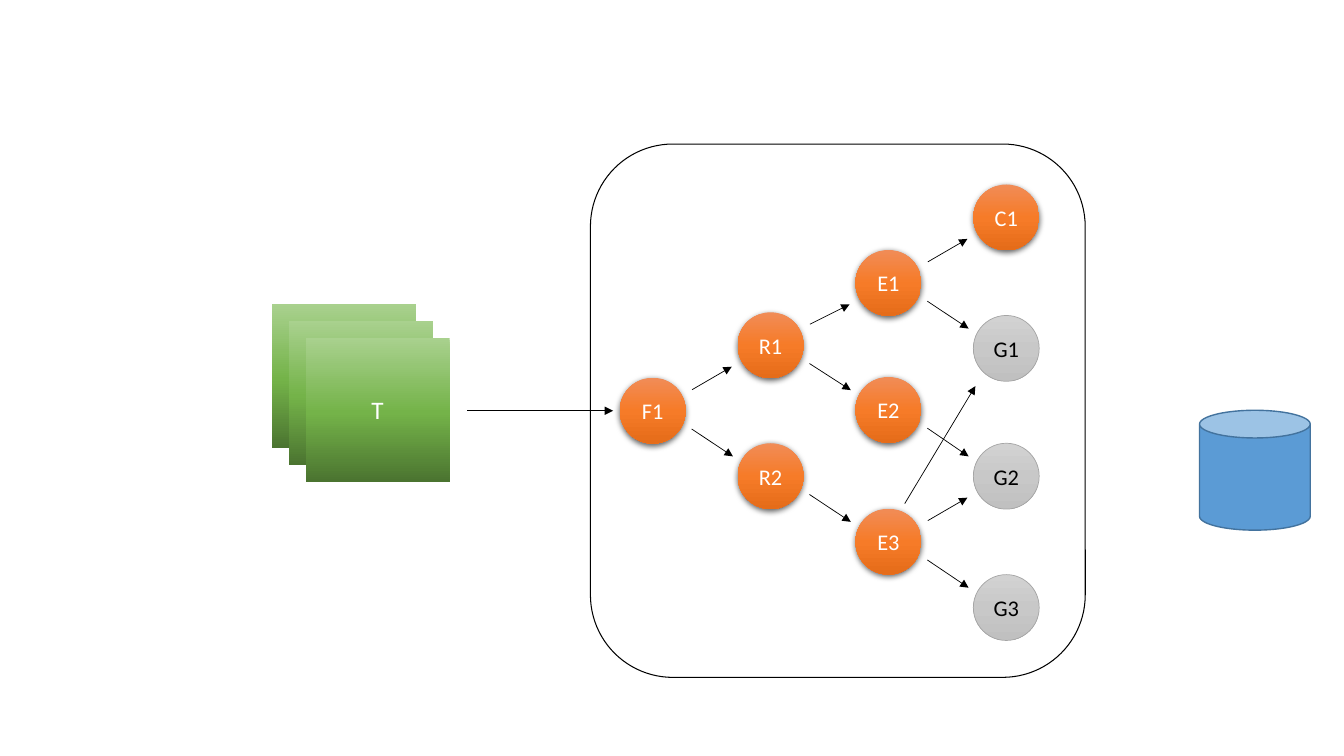
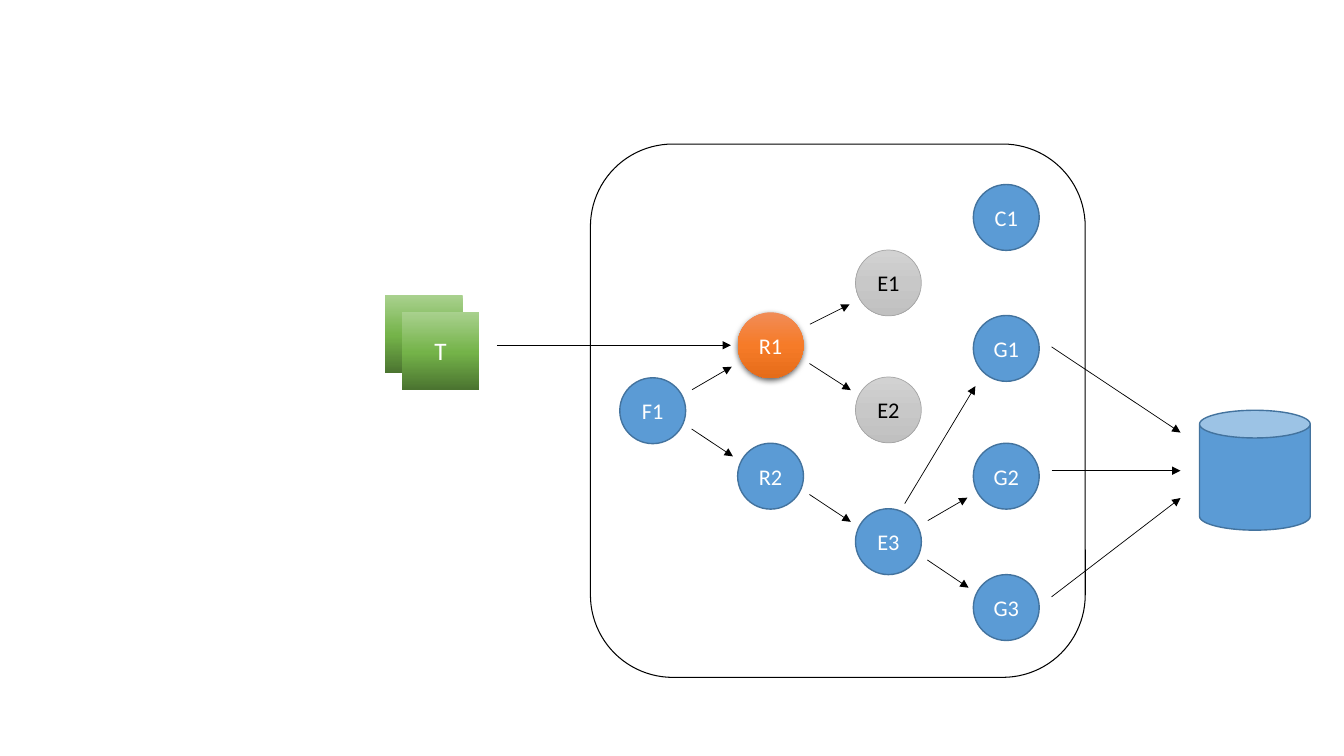
from copy import deepcopy

from lxml.etree import SubElement
from pptx import Presentation
from pptx.dml.color import RGBColor
from pptx.enum.shapes import MSO_CONNECTOR, MSO_SHAPE
from pptx.enum.text import MSO_ANCHOR, PP_ALIGN
from pptx.oxml.ns import qn
from pptx.util import Cm, Pt

COLORS = {
    "black": "000000", "white": "FFFFFF",
    "blue": "5B9BD5", "blue_edge": "43739E", "gray_edge": "A5A5A5",
}
# Gradients run from top to bottom: (position, colour)
GRADIENTS = {
    "orange": [(0, "F18C57"), (0.5, "F67B28"), (1, "E56C19")],
    "gray": [(0, "D2D2D2"), (0.5, "C8C8C8"), (1, "C0C0C0")],
    "green": [(0, "A9D18E"), (0.52, "74B349"), (1, "4B7430")],
}
NODE_STYLES = {
    "active": {"fill": "orange", "shadow": True},
    "waiting": {"fill": "gray", "line": "gray_edge", "width": 0.5, "color": "black"},
    "done": {"fill": "blue", "line": "blue_edge", "width": 1},
}

# Boxes are left, top, width, height in centimetres
PANEL = (14.88, 3.63, 12.47, 13.44)
STORE = (30.23, 10.34, 2.79, 3.02)
DIAMETER = 1.66
COLUMN_LEFT, COLUMN_STEP = 0.74, 2.97
STACK_STEP = 0.42

# Column and top of each node inside the panel
NODES = {
    "F1": (0, 5.89), "R1": (1, 4.24), "R2": (1, 7.54),
    "E1": (2, 2.67), "C1": (3, 1.02), "G1": (3, 4.32),
    "E3": (2, 9.19), "G2": (3, 7.54), "G3": (3, 10.85), "E2": (2, 5.87),
}
# Start and end of an arrow, measured from the corners of its two nodes
ROUTES = {
    "up": ((1.82, 0.30), (-0.15, 1.37)),
    "down": ((1.81, 1.29), (-0.12, 0.33)),
    "steep": ((1.24, -0.13), (0.05, 1.78)),
}
EDGES = [
    ("F1", "R1", "up"), ("F1", "R2", "down"), ("R1", "E1", "up"),
    ("E1", "C1", "up"), ("R1", "E2", "down"), ("E1", "G1", "down"),
    ("E2", "G2", "down"), ("E3", "G2", "up"), ("R2", "E3", "down"),
    ("E3", "G3", "down"), ("E3", "G1", "steep"),
]
# Node, start below its top, end below the top of the store
RESULTS = [("G1", 0.79, 0.56), ("G2", 0.69, 1.52), ("G3", 0.56, 2.21)]


def rgb(name):
    return RGBColor.from_string(COLORS[name])


def fill_gradient(shape, stops):
    shape.fill.gradient()
    shape.fill.gradient_angle = 270
    stop_list = shape._element.spPr.find(".//" + qn("a:gsLst"))
    stop_list.insert(1, deepcopy(stop_list[0]))
    for stop, (position, color) in zip(shape.fill.gradient_stops, stops):
        stop.position = position
        stop.color.rgb = RGBColor.from_string(color)


def add_soft_shadow(shape):
    effects = shape._element.spPr.find(qn("a:effectLst"))
    shadow = SubElement(effects, qn("a:outerShdw"), blurRad="57150", dist="19050",
                        dir="5400000", algn="ctr", rotWithShape="0")
    color = SubElement(shadow, qn("a:srgbClr"), val=COLORS["black"])
    SubElement(color, qn("a:alpha"), val="63000")


def write_text(shape, text, size=16, color="white"):
    frame = shape.text_frame
    frame.word_wrap = False
    frame.vertical_anchor = MSO_ANCHOR.MIDDLE
    paragraph = frame.paragraphs[0]
    paragraph.alignment = PP_ALIGN.CENTER
    run = paragraph.add_run()
    run.text = text
    run.font.name = "Calibri"
    run.font.size = Pt(size)
    run.font.color.rgb = rgb(color)


def add_block(slide, kind, box, fill=None, line=None, width=1, shadow=False):
    shape = slide.shapes.add_shape(kind, *[Cm(length) for length in box])
    shape.shadow.inherit = False
    if fill in GRADIENTS:
        fill_gradient(shape, GRADIENTS[fill])
    elif fill:
        shape.fill.solid()
        shape.fill.fore_color.rgb = rgb(fill)
    else:
        shape.fill.background()
    if line:
        shape.line.color.rgb = rgb(line)
        shape.line.width = Pt(width)
    else:
        shape.line.fill.background()
    if shadow:
        add_soft_shadow(shape)
    return shape


def add_arrow(slide, start, end):
    arrow = slide.shapes.add_connector(
        MSO_CONNECTOR.STRAIGHT, *[Cm(length) for length in (*start, *end)])
    arrow.line.color.rgb = rgb("black")
    arrow.line.width = Pt(0.5)
    SubElement(arrow.line._get_or_add_ln(), qn("a:tailEnd"), type="triangle")
    SubElement(arrow._element.spPr, qn("a:effectLst"))


def shift(point, offset):
    return point[0] + offset[0], point[1] + offset[1]


def node_corner(panel, name):
    column, top = NODES[name]
    return shift(panel[:2], (COLUMN_LEFT + column * COLUMN_STEP, top))


def add_graph(slide, panel, states):
    """Panel with its nodes; a waiting node sends no arrows."""
    add_block(slide, MSO_SHAPE.ROUNDED_RECTANGLE, panel, line="black", width=0.75)
    for name in NODES:
        style = dict(NODE_STYLES[states[name]])
        color = style.pop("color", "white")
        box = (*node_corner(panel, name), DIAMETER, DIAMETER)
        write_text(add_block(slide, MSO_SHAPE.OVAL, box, **style), name, color=color)
    for source, target, route in EDGES:
        if states[source] != "waiting":
            start, end = ROUTES[route]
            add_arrow(slide, shift(node_corner(panel, source), start),
                      shift(node_corner(panel, target), end))


def add_store(slide, box, panel, linked):
    """Database, with arrows from the last nodes when linked."""
    add_block(slide, MSO_SHAPE.CAN, box, fill="blue", line="blue_edge")
    if linked:
        for name, drop, entry in RESULTS:
            add_arrow(slide, shift(node_corner(panel, name), (1.97, drop)),
                      shift(box[:2], (-0.48, entry)))


def add_input(slide, box, count, panel, target):
    """Stack of squares, with an arrow to the target node."""
    left, top, width, height = box
    for index in range(count):
        offset = index * STACK_STEP
        square = add_block(slide, MSO_SHAPE.RECTANGLE,
                           (left + offset, top + offset, width, height), fill="green")
    write_text(square, "T", size=18)
    node_left, node_top = node_corner(panel, target)
    middle = node_top + DIAMETER / 2
    add_arrow(slide, (left + offset + width + 0.44, middle), (node_left - 0.17, middle))


def add_pipeline_slide(presentation, states, stack, count, target, linked):
    slide = presentation.slides.add_slide(presentation.slide_layouts[6])
    add_graph(slide, PANEL, states)
    add_store(slide, STORE, PANEL, linked)
    add_input(slide, stack, count, PANEL, target)


presentation = Presentation()
presentation.slide_width, presentation.slide_height = Cm(33.87), Cm(19.05)

# Slide 1: everything up to the G nodes is active
first_states = {name: "waiting" if name.startswith("G") else "active" for name in NODES}
add_pipeline_slide(presentation, first_states, (6.86, 7.67, 3.63, 3.63), 3, "F1", False)

# Slide 2: only R1 runs again, E1 and E2 wait for it
second_states = {**dict.fromkeys(NODES, "done"),
                 "R1": "active", "E1": "waiting", "E2": "waiting"}
add_pipeline_slide(presentation, second_states, (9.7, 7.44, 1.96, 1.96), 2, "R1", True)

presentation.save("out.pptx")
